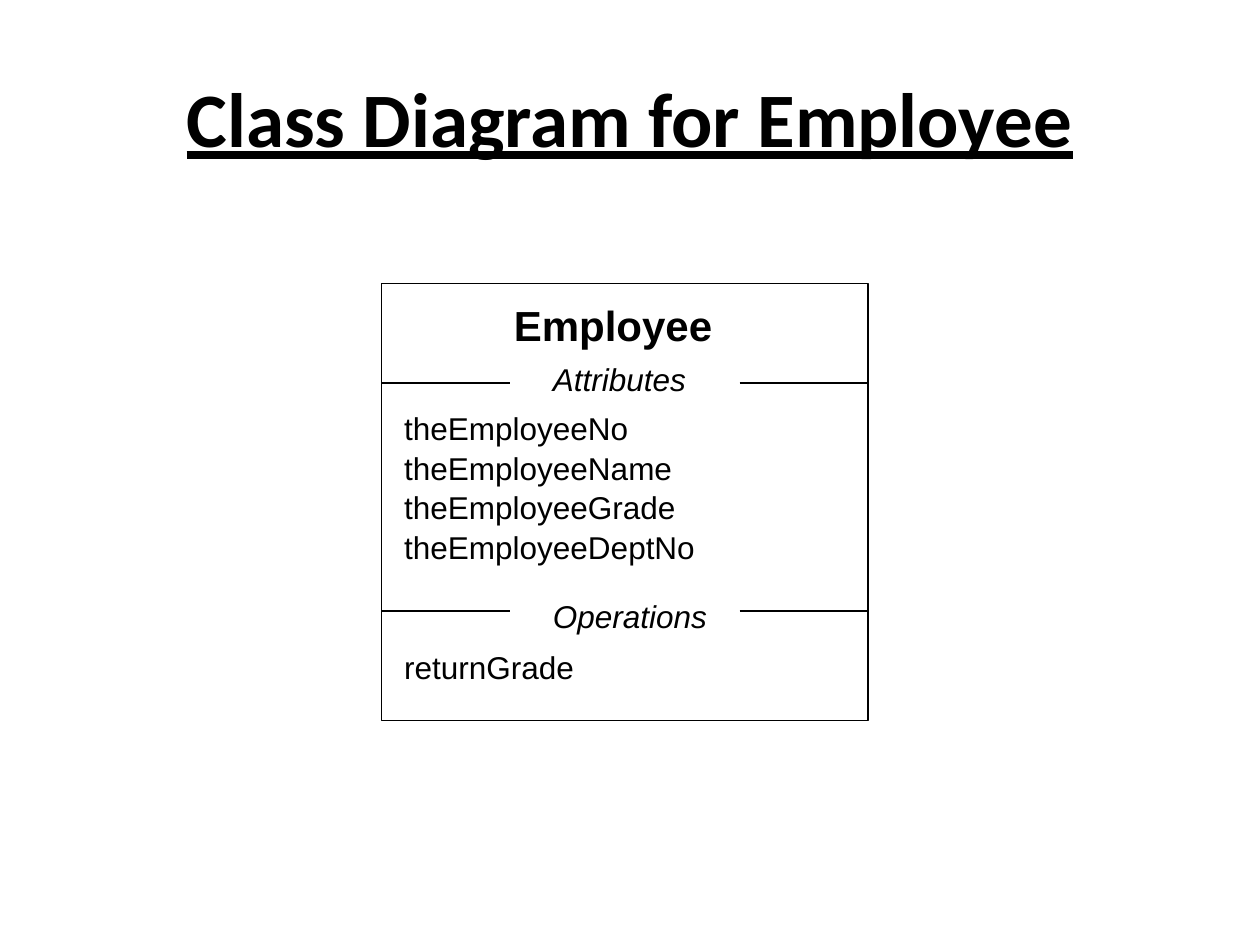
from dataclasses import dataclass

from lxml.etree import SubElement
from pptx import Presentation
from pptx.dml.color import RGBColor
from pptx.enum.shapes import MSO_CONNECTOR, MSO_SHAPE
from pptx.enum.text import MSO_ANCHOR, MSO_AUTO_SIZE, PP_ALIGN
from pptx.oxml.ns import qn
from pptx.slide import Slide
from pptx.util import Inches, Pt

COLORS = {"ink": "000000"}
INK = RGBColor.from_string(COLORS["ink"])
LINE_WIDTH = Pt(0.75)

# The slide is a grid of 100 columns by 75 rows
SLIDE_WIDTH, SLIDE_HEIGHT = Inches(10), Inches(7.5)
COLUMN, ROW = SLIDE_WIDTH / 100, SLIDE_HEIGHT / 75

# Class box, in columns and rows
BOX_LEFT, BOX_TOP, BOX_WIDTH, BOX_HEIGHT = 30.3, 22.5, 38.6, 34.7
DIVIDER_LENGTH = 10.2
MEMBER_LEFT, MEMBER_PITCH = 31.1, 3.14
HEADING_LEFT, HEADING_WIDTH = 42.9, 17.3


@dataclass
class Label:
    text: str
    left: float
    top: float
    width: float
    height: float = 4
    size: float = 18
    font: str = "Arial"
    bold: bool = False
    italic: bool = False
    underline: bool = False
    centred: bool = False


@dataclass
class Compartment:
    heading: str
    divider_row: float
    heading_row: float
    first_member_row: float
    members: list[tuple[str, float]]  # name and width


COMPARTMENTS = [
    Compartment("Attributes", 30.4, 28.1, 32, [
        ("theEmployeeNo", 21.3),
        ("theEmployeeName", 27.6),
        ("theEmployeeGrade", 26),
        ("theEmployeeDeptNo", 28.4),
    ]),
    Compartment("Operations", 48.5, 46.9, 50.9, [("returnGrade", 28.4)]),
]


def columns(count: float) -> int:
    return round(count * COLUMN)


def rows(count: float) -> int:
    return round(count * ROW)


def add_label(slide: Slide, label: Label) -> None:
    shape = slide.shapes.add_textbox(columns(label.left), rows(label.top),
                                     columns(label.width), rows(label.height))
    frame = shape.text_frame
    frame.word_wrap = True
    if label.centred:
        frame.vertical_anchor = MSO_ANCHOR.MIDDLE
    else:
        frame.auto_size = MSO_AUTO_SIZE.SHAPE_TO_FIT_TEXT
    paragraph = frame.paragraphs[0]
    paragraph.text = label.text
    paragraph.alignment = PP_ALIGN.CENTER if label.centred else PP_ALIGN.LEFT
    font = paragraph.font
    font.name, font.size = label.font, Pt(label.size)
    font.bold, font.italic, font.underline = label.bold, label.italic, label.underline
    font.color.rgb = INK


def add_class_box(slide: Slide) -> None:
    shape = slide.shapes.add_shape(MSO_SHAPE.RECTANGLE, columns(BOX_LEFT), rows(BOX_TOP),
                                   columns(BOX_WIDTH), rows(BOX_HEIGHT))
    shape.shadow.inherit = False
    shape.fill.background()
    shape.line.color.rgb = INK
    shape.line.width = LINE_WIDTH


def add_divider(slide: Slide, row: float) -> None:
    """Draw a line at each side, leaving a gap for the heading."""
    for left in (BOX_LEFT, BOX_LEFT + BOX_WIDTH - DIVIDER_LENGTH):
        connector = slide.shapes.add_connector(
            MSO_CONNECTOR.STRAIGHT, columns(left), rows(row),
            columns(left + DIVIDER_LENGTH), rows(row))
        connector.line.color.rgb = INK
        connector.line.width = LINE_WIDTH
        SubElement(connector._element.spPr, qn("a:effectLst"))


def add_compartment(slide: Slide, compartment: Compartment) -> None:
    add_divider(slide, compartment.divider_row)
    add_label(slide, Label(compartment.heading, HEADING_LEFT, compartment.heading_row,
                           HEADING_WIDTH, italic=True))
    for index, (name, width) in enumerate(compartment.members):
        top = compartment.first_member_row + index * MEMBER_PITCH
        add_label(slide, Label(name, MEMBER_LEFT, top, width))


def main() -> None:
    presentation = Presentation()
    presentation.slide_width, presentation.slide_height = SLIDE_WIDTH, SLIDE_HEIGHT
    slide = presentation.slides.add_slide(presentation.slide_layouts[6])

    # Title
    add_label(slide, Label("Class Diagram for Employee", 5, 3, 90, 12.5, size=44,
                           font="Calibri", bold=True, underline=True, centred=True))

    # Class box with its name and compartments
    add_class_box(slide)
    add_label(slide, Label("Employee", 39.8, 23.3, 24.4, 5, size=24, bold=True))
    for compartment in COMPARTMENTS:
        add_compartment(slide, compartment)

    presentation.save("out.pptx")


if __name__ == "__main__":
    main()
